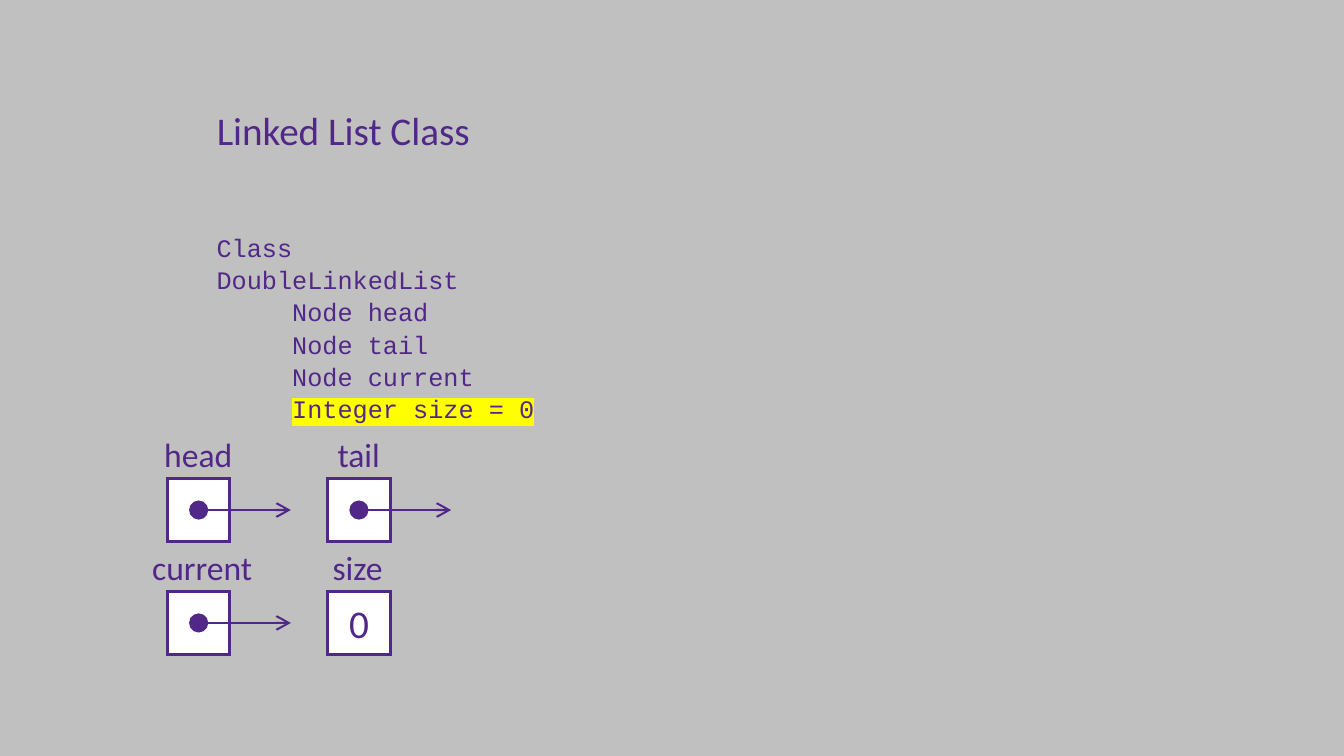
from lxml import etree
from pptx import Presentation
from pptx.dml.color import RGBColor
from pptx.enum.shapes import MSO_CONNECTOR, MSO_SHAPE
from pptx.enum.text import MSO_ANCHOR, MSO_AUTO_SIZE, PP_ALIGN
from pptx.oxml.ns import qn
from pptx.util import Inches, Pt

STRAIGHT = MSO_CONNECTOR.STRAIGHT
RECT, OVAL = MSO_SHAPE.RECTANGLE, MSO_SHAPE.OVAL
LEFT, CENTER = PP_ALIGN.LEFT, PP_ALIGN.CENTER
TOP, MIDDLE = MSO_ANCHOR.TOP, MSO_ANCHOR.MIDDLE
FIT = MSO_AUTO_SIZE.SHAPE_TO_FIT_TEXT

PURPLE, WHITE, GREY, YELLOW = "512888", "FFFFFF", "C0C0C0", "FFFF00"
SANS, MONO = "Calibri", "Courier New"

TITLE = "Linked List Class"
CLASS_INDENT, MEMBER_INDENT = 0.49, 1.24
CODE = [
    ("Class DoubleLinkedList", CLASS_INDENT, None),
    ("Node head", MEMBER_INDENT, None),
    ("Node tail", MEMBER_INDENT, None),
    ("Node current", MEMBER_INDENT, None),
    ("Integer size = 0", MEMBER_INDENT, YELLOW),
]

FIELDS = [
    {"name": "head", "column": 0, "row": 0, "shift": -0.13, "width": 0.89, "value": None},
    {"name": "tail", "column": 1, "row": 0, "shift": 0, "width": 0.63, "value": None},
    {"name": "current", "column": 0, "row": 1, "shift": -0.25, "width": 1.21, "value": None},
    {"name": "size", "column": 1, "row": 1, "shift": -0.05, "width": 0.7, "value": "0"},
]
GRID_LEFT, GRID_TOP = 1.66, 4.75
COLUMN_STEP, ROW_STEP = 1.59, 1.12
CELL, DOT, ARROW = 0.62, 0.19, 0.82
LABEL_HEIGHT = 0.5


def color(value):
    return RGBColor.from_string(value)


def inches(*lengths):
    return [Inches(length) for length in lengths]


def format_font(font, size, face):
    for key, value in {"size": Pt(size), "name": face, "bold": False}.items():
        setattr(font, key, value)
    font.color.rgb = color(PURPLE)


def format_frame(frame, wrap):
    settings = {"word_wrap": wrap, "auto_size": FIT, "vertical_anchor": TOP}
    for key, value in settings.items():
        setattr(frame, key, value)


def write(frame, text, size, align):
    paragraph = frame.paragraphs[0]
    paragraph.alignment = align
    run = paragraph.add_run()
    run.text = text
    format_font(run.font, size, SANS)


def add_filled(slide, kind, box, fill, outline=None):
    shape = slide.shapes.add_shape(kind, *inches(*box))
    shape.shadow.inherit = False
    shape.fill.solid()
    shape.fill.fore_color.rgb = color(fill)
    if outline:
        shape.line.color.rgb = color(outline)
        shape.line.width = Pt(2.25)
        border = shape.element.spPr.find(qn("a:ln"))
        etree.SubElement(border, qn("a:miter"), lim="800000")
    else:
        shape.line.fill.background()
    return shape


def add_arrow(slide, left, middle):
    arrow = slide.shapes.add_connector(STRAIGHT, *inches(left, middle, left + ARROW, middle))
    arrow.line.color.rgb = color(PURPLE)
    arrow.line.width = Pt(1.5)
    properties = arrow.element.spPr
    etree.SubElement(properties.find(qn("a:ln")), qn("a:tailEnd"), type="arrow", w="lg", len="lg")
    etree.SubElement(properties, qn("a:effectLst"))


def add_title(slide):
    title = slide.shapes.title
    title.left, title.top, title.width, title.height = inches(2.05, 1, 2.85, 0.57)
    format_frame(title.text_frame, False)
    write(title.text_frame, TITLE, 28, LEFT)


def add_code(slide):
    frame = slide.shapes.add_textbox(*inches(1.56, 2.23, 3.93, 1.71)).text_frame
    format_frame(frame, True)
    for number, (text, indent, marker) in enumerate(CODE):
        paragraph = frame.add_paragraph() if number else frame.paragraphs[0]
        paragraph.line_spacing = 1.07
        properties = paragraph._p.get_or_add_pPr()
        properties.set("marL", str(Inches(indent)))
        properties.set("indent", "0")
        run = paragraph.add_run()
        run.text = text
        format_font(run.font, 18, MONO)
        if marker:
            highlight = etree.Element(qn("a:highlight"))
            etree.SubElement(highlight, qn("a:srgbClr"), val=marker)
            run.font._element.find(qn("a:solidFill")).addnext(highlight)


def add_field(slide, field):
    left = GRID_LEFT + field["column"] * COLUMN_STEP
    top = GRID_TOP + field["row"] * ROW_STEP
    cell = add_filled(slide, RECT, (left, top, CELL, CELL), WHITE, PURPLE)
    if field["value"] is None:
        inset = (CELL - DOT) / 2
        add_filled(slide, OVAL, (left + inset, top + inset, DOT, DOT), PURPLE)
        add_arrow(slide, left + inset + DOT, top + CELL / 2)
    else:
        cell.text_frame.vertical_anchor = MIDDLE
        write(cell.text_frame, field["value"], 28, CENTER)
    label_box = (left + field["shift"], top - LABEL_HEIGHT + 0.01, field["width"], LABEL_HEIGHT)
    label = slide.shapes.add_textbox(*inches(*label_box)).text_frame
    format_frame(label, False)
    write(label, field["name"], 24, LEFT)


def main():
    deck = Presentation()
    deck.slide_width, deck.slide_height = inches(13.33, 7.5)
    slide = deck.slides.add_slide(deck.slide_layouts[5])
    slide.background.fill.solid()
    slide.background.fill.fore_color.rgb = color(GREY)
    add_title(slide)
    add_code(slide)
    for field in FIELDS:
        add_field(slide, field)
    deck.save("out.pptx")


if __name__ == "__main__":
    main()
